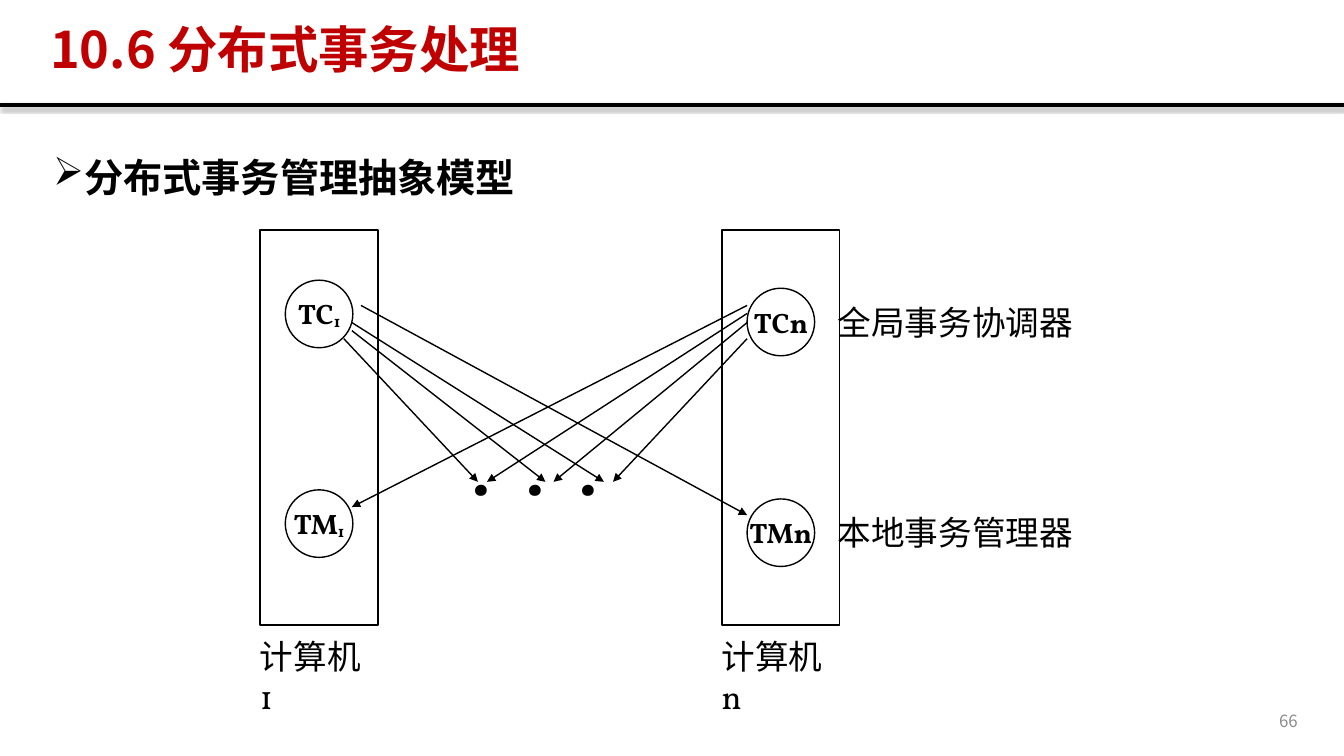
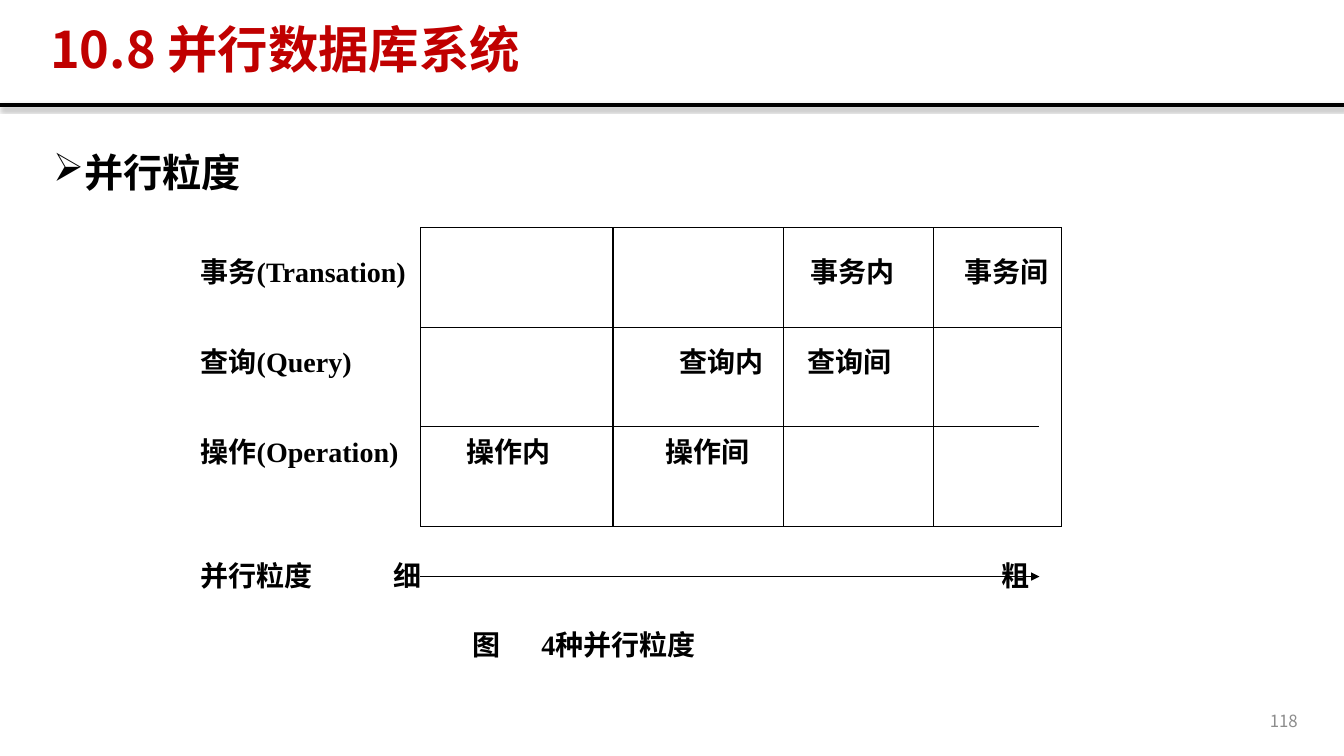
from lxml.etree import SubElement
from pptx import Presentation
from pptx.dml.color import RGBColor
from pptx.enum.shapes import MSO_CONNECTOR as Connector, MSO_SHAPE as Shape
from pptx.enum.text import MSO_ANCHOR as Anchor, PP_ALIGN as Align
from pptx.oxml.ns import qn
from pptx.util import Pt

PX = 9144
BLACK = RGBColor(0x00, 0x00, 0x00)
WHITE = RGBColor(0xFF, 0xFF, 0xFF)
RED = RGBColor(0xC0, 0x00, 0x00)
GRAY = RGBColor(0x8C, 0x8C, 0x8C)
SANS, SERIF, TIMES = "Noto Sans CJK SC", "Vollkorn", "Times New Roman"

TITLE = {"name": SANS, "size": Pt(36), "bold": True}
HEADING = {"name": SANS, "size": Pt(28), "bold": True}
NUMBER = {"name": SANS, "size": Pt(12)}
NODE = {"name": SERIF, "size": Pt(20), "bold": True}
LABEL = {"name": SERIF, "size": Pt(24)}
DOTS = {"name": SERIF, "size": Pt(60)}
GRID_TEXT = {"name": TIMES, "size": Pt(20), "bold": True}


def px(*lengths):
    return [round(length * PX) for length in lengths]


def set_values(target, values):
    for name, value in values.items():
        setattr(target, name, value)


def add_run(paragraph, text, font, color=BLACK, baseline=None):
    run = paragraph.add_run()
    run.text = text
    set_values(run.font, font)
    run.font.color.rgb = color
    properties = run._r.get_or_add_rPr()
    SubElement(properties, qn("a:ea")).set("typeface", SANS)
    if baseline:
        properties.set("baseline", str(baseline))


def add_tabs(paragraph, stops):
    tab_list = SubElement(paragraph._p.get_or_add_pPr(), qn("a:tabLst"))
    for stop in stops:
        tab = SubElement(tab_list, qn("a:tab"))
        tab.set("pos", str(stop * PX))
        tab.set("algn", "l")


def add_text(slide, box, text, font, color=BLACK, frame=None, format=None, tabs=()):
    text_frame = slide.shapes.add_textbox(*px(*box)).text_frame
    set_values(text_frame, {"word_wrap": True, **(frame or {})})
    paragraph = text_frame.paragraphs[0]
    if tabs:
        add_tabs(paragraph, tabs)
    set_values(paragraph, format or {})
    add_run(paragraph, text, font, color)
    return paragraph


def add_line(slide, start, end, width=0.75, arrow=False):
    line = slide.shapes.add_connector(Connector.STRAIGHT, *px(*start, *end))
    line.line.color.rgb = BLACK
    line.line.width = Pt(width)
    if arrow:
        SubElement(line.line._get_or_add_ln(), qn("a:tailEnd")).set("type", "triangle")
    return SubElement(line._element.spPr, qn("a:effectLst"))


def add_outline(slide, preset, box):
    shape = slide.shapes.add_shape(preset, *px(*box))
    shape.shadow.inherit = False
    shape.fill.solid()
    shape.fill.fore_color.rgb = WHITE
    shape.line.color.rgb = BLACK
    shape.line.width = Pt(1)
    return shape


def add_header_rule(slide):
    effects = add_line(slide, (0, 104), (1333, 104), 3)
    shadow = SubElement(effects, qn("a:outerShdw"))
    for name, value in {"blurRad": Pt(3.1), "dist": Pt(1.8), "dir": 5400000,
                        "algn": "t", "rotWithShape": 0}.items():
        shadow.set(name, str(value))
    color = SubElement(shadow, qn("a:srgbClr"))
    color.set("val", str(BLACK))
    SubElement(color, qn("a:alpha")).set("val", "35000")


def add_base_slide(presentation, title, heading, number, spacing):
    slide = presentation.slides.add_slide(presentation.slide_layouts[6])
    middle = {"vertical_anchor": Anchor.MIDDLE}
    add_header_rule(slide)
    add_text(slide, (997, 695, 300, 40), number, NUMBER, GRAY, middle,
             {"alignment": Align.RIGHT})
    add_text(slide, (40, 19, 1170, 65), title, TITLE, RED, middle,
             {"line_spacing": 0.9})
    paragraph = add_text(slide, (43, 133, 1253, 542), heading, HEADING,
                         format={"line_spacing": spacing})
    properties = paragraph._p.get_or_add_pPr()
    properties.set("marL", str(25 * PX))
    properties.set("indent", str(-25 * PX))
    SubElement(properties, qn("a:buChar")).set("char", "➢")
    return slide


def add_node(slide, left, top, name, index, baseline):
    node = add_outline(slide, Shape.OVAL, (left, top, 67, 67))
    set_values(node.text_frame, {"word_wrap": False, "vertical_anchor": Anchor.MIDDLE})
    paragraph = node.text_frame.paragraphs[0]
    paragraph.alignment = Align.CENTER
    add_run(paragraph, name, NODE)
    add_run(paragraph, index, NODE, baseline=baseline)


def add_computer(slide, left, top, index, node_tops, baseline=None):
    add_outline(slide, Shape.RECTANGLE, (left, top, 117, 392))
    for name, node_top in zip(("TC", "TM"), node_tops):
        add_node(slide, left + 25, top + node_top, name, index, baseline)
    add_text(slide, (left - 10, top + 398, 126, 90), "计算机" + index, LABEL)


def add_transaction_model(slide, left, top):
    add_computer(slide, left, top, "1", (50, 258), -10000)
    add_computer(slide, left + 458, top, "n", (58, 267))
    for label, label_top in (("全局事务协调器", 67), ("本地事务管理器", 275)):
        add_text(slide, (left + 563, top + label_top, 253, 50), label, LABEL,
                 frame={"word_wrap": False})
    add_text(slide, (left + 200, top + 175, 166, 110), ".\t.\t.", DOTS, tabs=(53, 106))
    arrows = (
        (83, 108, 216, 250), (91, 100, 283, 250), (91, 92, 341, 250), (100, 75, 483, 283),
        (483, 108, 350, 250), (483, 92, 291, 250), (483, 83, 225, 250), (483, 75, 91, 275),
    )
    for x1, y1, x2, y2 in arrows:
        add_line(slide, (left + x1, top + y1), (left + x2, top + y2), 1, arrow=True)


def add_granularity_grid(slide, left, top):
    width, height, short_width = 636, 296, 614
    for row in range(4):
        y = top + round(height * row / 3)
        add_line(slide, (left, y), (left + (short_width if row == 1 + 1 else width), y))
    for column in (0, 191, 360, 509, width):
        add_line(slide, (left + column, top + height), (left + column, top))
    add_line(slide, (left, top + 346), (left + short_width, top + 346), arrow=True)
    rows = (
        (-218, 43, "事务(Transation)\t事务内\t事务间", (605, 758)),
        (-218, 132, "查询(Query)\t查询内\t查询间", (475, 602)),
        (-218, 222, "操作(Operation)\t操作内\t操作间", (264, 461)),
        (-218, 345, "并行粒度\t细\t粗", (191, 794)),
        (52, 413, "图\t4种并行粒度", (68,)),
    )
    frame = {"vertical_anchor": Anchor.MIDDLE, "margin_left": 0, "margin_right": 0}
    for x, center, text, tabs in rows:
        add_text(slide, (left + x, top + center - 25, 904 - max(x, 0), 50), text,
                 GRID_TEXT, frame=frame, tabs=tabs)


def main():
    presentation = Presentation()
    presentation.slide_width, presentation.slide_height = px(1333, 750)
    slide = add_base_slide(presentation, "10.6 分布式事务处理",
                           "分布式事务管理抽象模型", "66", 1.3)
    add_transaction_model(slide, 258, 228)
    slide = add_base_slide(presentation, "10.8 并行数据库系统", "并行粒度", "118", 1.2)
    add_granularity_grid(slide, 417, 226)
    presentation.save("out.pptx")


if __name__ == "__main__":
    main()
